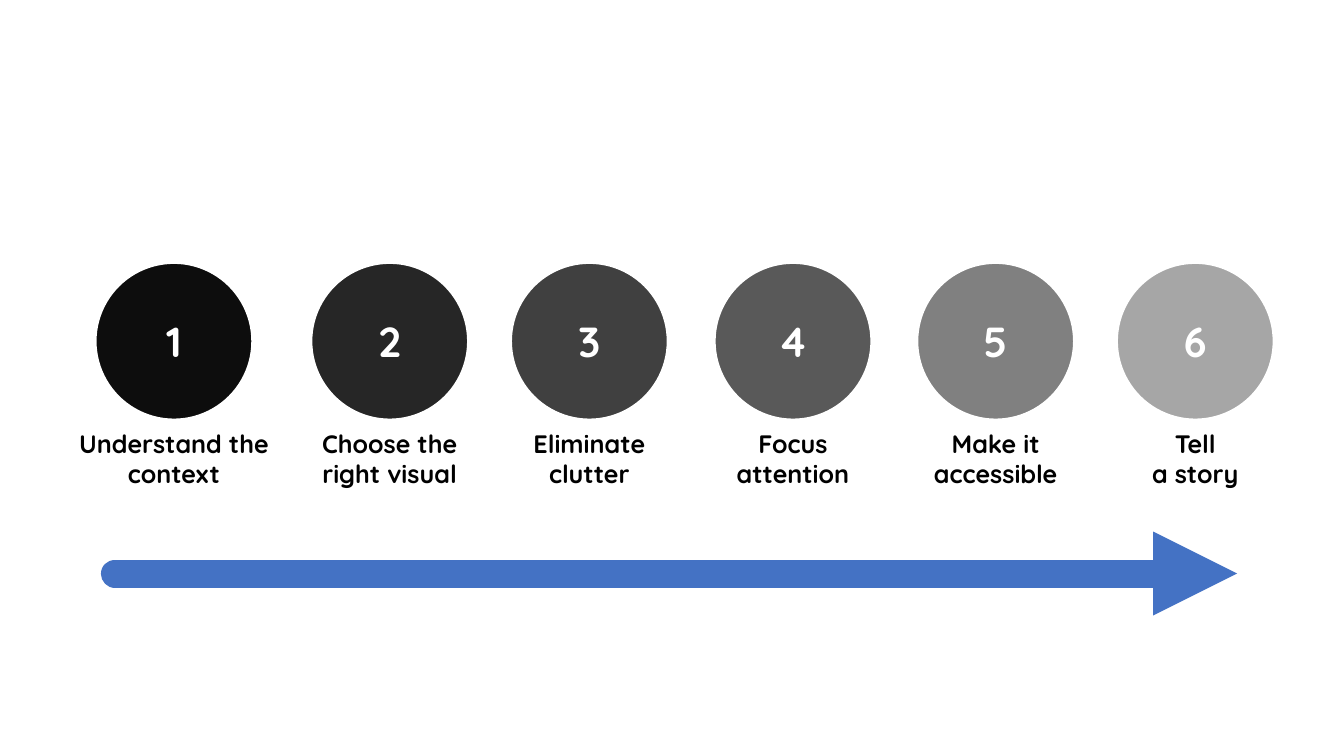
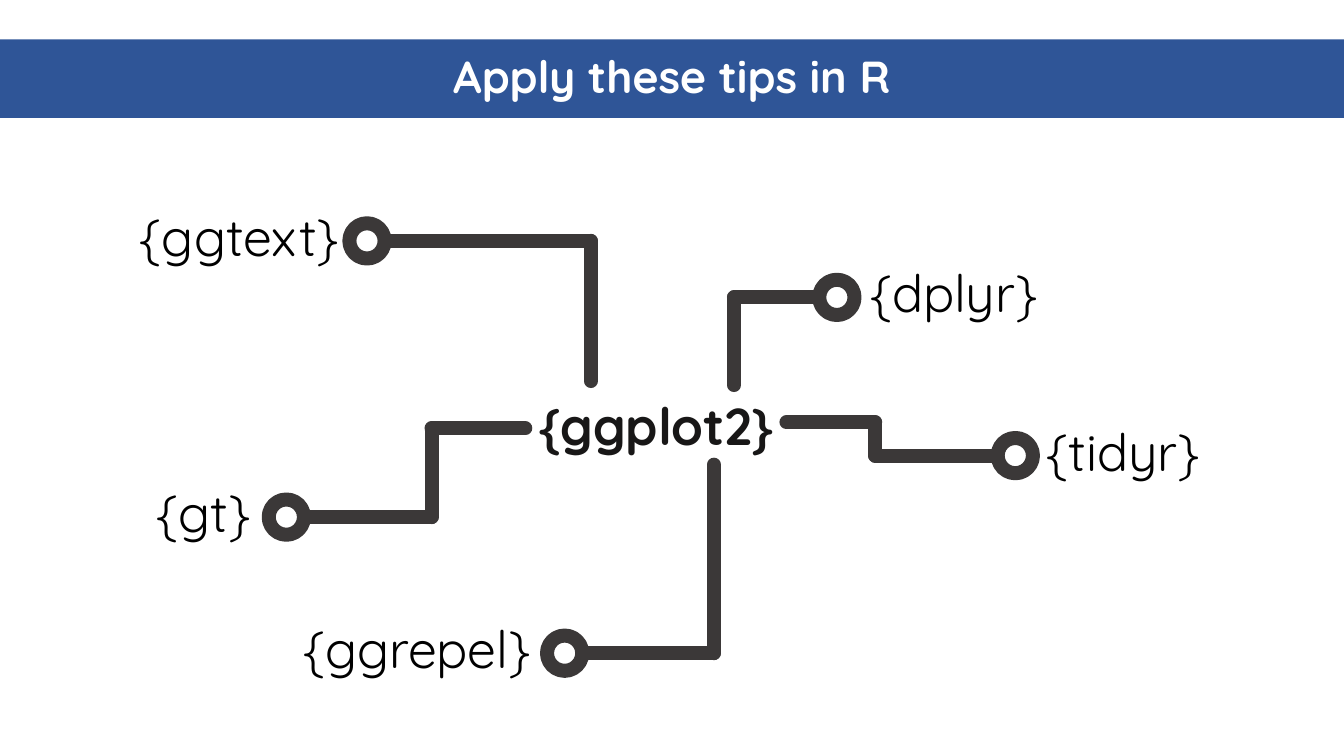
"""Builds two slides: six steps to a good chart, and the R packages around ggplot2."""
import itertools

import lxml.etree
import pptx
import pptx.dml.color
import pptx.enum.shapes
import pptx.enum.text
import pptx.oxml.ns
import pptx.util

Inches = pptx.util.Inches
Pt = pptx.util.Pt
RGBColor = pptx.dml.color.RGBColor
MSO_SHAPE = pptx.enum.shapes.MSO_SHAPE
qn = pptx.oxml.ns.qn

FONT = "Quicksand"
WHITE = RGBColor(0xFF, 0xFF, 0xFF)
BLACK = RGBColor(0x00, 0x00, 0x00)
INK = RGBColor(0x18, 0x17, 0x17)
BRANCH = RGBColor(0x3B, 0x38, 0x38)
ARROW = RGBColor(0x44, 0x72, 0xC4)
BAND = RGBColor(0x2F, 0x55, 0x97)

STEPS = [
    (0.93, 0x0D, "Understand the\ncontext"),
    (3.07, 0x26, "Choose the\nright visual"),
    (5.05, 0x40, "Eliminate\nclutter"),
    (7.07, 0x59, "Focus\nattention"),
    (9.08, 0x80, "Make it\naccessible"),
    (11.06, 0xA6, "Tell\na story"),
]
STEP_TOP, STEP_SIZE = 2.59, 1.59
STEP_LABEL_TOP, STEP_LABEL_WIDTH, STEP_LABEL_HEIGHT = 4.2, 1.9, 0.71
ARROW_ENDS = [(1.14, 5.69), (12.27, 5.69)]

TITLE = "Apply these tips in R"
HUB = ("{ggplot2}", 5.22, 3.86, 2.58)
PACKAGES = [
    ("{ggtext}", 1.28, 2.19, [(5.86, 3.78), (5.86, 2.39), (3.64, 2.39)]),
    ("{gt}", 1.45, 1.14, [(5.21, 4.25), (4.28, 4.25), (4.28, 5.13), (2.84, 5.13)]),
    ("{ggrepel}", 2.88, 2.51, [(7.08, 4.61), (7.08, 6.48), (5.6, 6.48)]),
    ("{dplyr}", 8.52, 1.88, [(7.28, 3.82), (7.28, 2.95), (8.3, 2.95)]),
    ("{tidyr}", 10.27, 1.74, [(7.8, 4.19), (8.68, 4.19), (8.68, 4.52), (10.07, 4.52)]),
]
RING_SIZE, LABEL_HEIGHT, LABEL_RISE = 0.35, 0.72, 0.41


def write(tf, text, size, color, bold=False):
    p = tf.paragraphs[0]
    p.alignment = pptx.enum.text.PP_ALIGN.CENTER
    for i, line in enumerate(text.split("\n")):
        if i:
            p.add_line_break()
        r = p.add_run()
        r.text = line
        r.font.name, r.font.size, r.font.bold = FONT, Pt(size), bold
        r.font.color.rgb = color
    return p


def add_label(s, text, left, top, width, height, size, color=BLACK, bold=False):
    tf = s.shapes.add_textbox(*map(Inches, (left, top, width, height))).text_frame
    tf.word_wrap = False
    tf.margin_left = tf.margin_right = 0
    write(tf, text, size, color, bold)


def add_filled(s, kind, left, top, width, height, fill, line=None, weight=0):
    sp = s.shapes.add_shape(kind, *map(Inches, (left, top, width, height)))
    sp.shadow.inherit = False
    sp.fill.solid()
    sp.fill.fore_color.rgb = fill
    if line is None:
        sp.line.fill.background()
    else:
        sp.line.color.rgb = line
        sp.line.width = Pt(weight)
    sp.text_frame.vertical_anchor = pptx.enum.text.MSO_ANCHOR.MIDDLE
    return sp


def add_line(s, start, end, color, weight, arrow=False):
    c = s.shapes.add_connector(
        pptx.enum.shapes.MSO_CONNECTOR.STRAIGHT, *map(Inches, (*start, *end)))
    c.line.color.rgb = color
    c.line.width = Pt(weight)
    ln = c.element.spPr.find(qn("a:ln"))
    ln.set("cap", "rnd")
    lxml.etree.SubElement(ln, qn("a:round"))
    if arrow:
        lxml.etree.SubElement(ln, qn("a:tailEnd"), type="triangle")
    lxml.etree.SubElement(c.element.spPr, qn("a:effectLst"))


def build_steps(s):
    for number, (left, grey, label) in enumerate(STEPS, 1):
        sp = add_filled(s, MSO_SHAPE.OVAL, left, STEP_TOP, STEP_SIZE, STEP_SIZE,
                        RGBColor(grey, grey, grey), WHITE, 4)
        write(sp.text_frame, str(number), 30, WHITE, True)
        label_left = left + (STEP_SIZE - STEP_LABEL_WIDTH) / 2
        add_label(s, label, label_left, STEP_LABEL_TOP, STEP_LABEL_WIDTH,
                  STEP_LABEL_HEIGHT, 18, bold=True)
    add_line(s, *ARROW_ENDS, ARROW, 20, arrow=True)


def build_packages(s):
    band = add_filled(s, MSO_SHAPE.RECTANGLE, 0, 0.39, 13.33, 0.78, BAND)
    write(band.text_frame, TITLE, 32, WHITE, True).line_spacing = 0.9
    add_label(s, *HUB, LABEL_HEIGHT, 37, INK, True)
    for name, left, width, route in PACKAGES:
        for start, end in itertools.pairwise(route):
            add_line(s, start, end, BRANCH, 10)
        x, y = route[-1]
        add_filled(s, MSO_SHAPE.OVAL, x - RING_SIZE / 2, y - RING_SIZE / 2,
                   RING_SIZE, RING_SIZE, WHITE, BRANCH, 10)
        add_label(s, name, left, y - LABEL_RISE, width, LABEL_HEIGHT, 37)


def main():
    prs = pptx.Presentation()
    prs.slide_width, prs.slide_height = Inches(13.33), Inches(7.5)
    for build in (build_steps, build_packages):
        build(prs.slides.add_slide(prs.slide_layouts[6]))
    prs.save("out.pptx")


if __name__ == "__main__":
    main()
